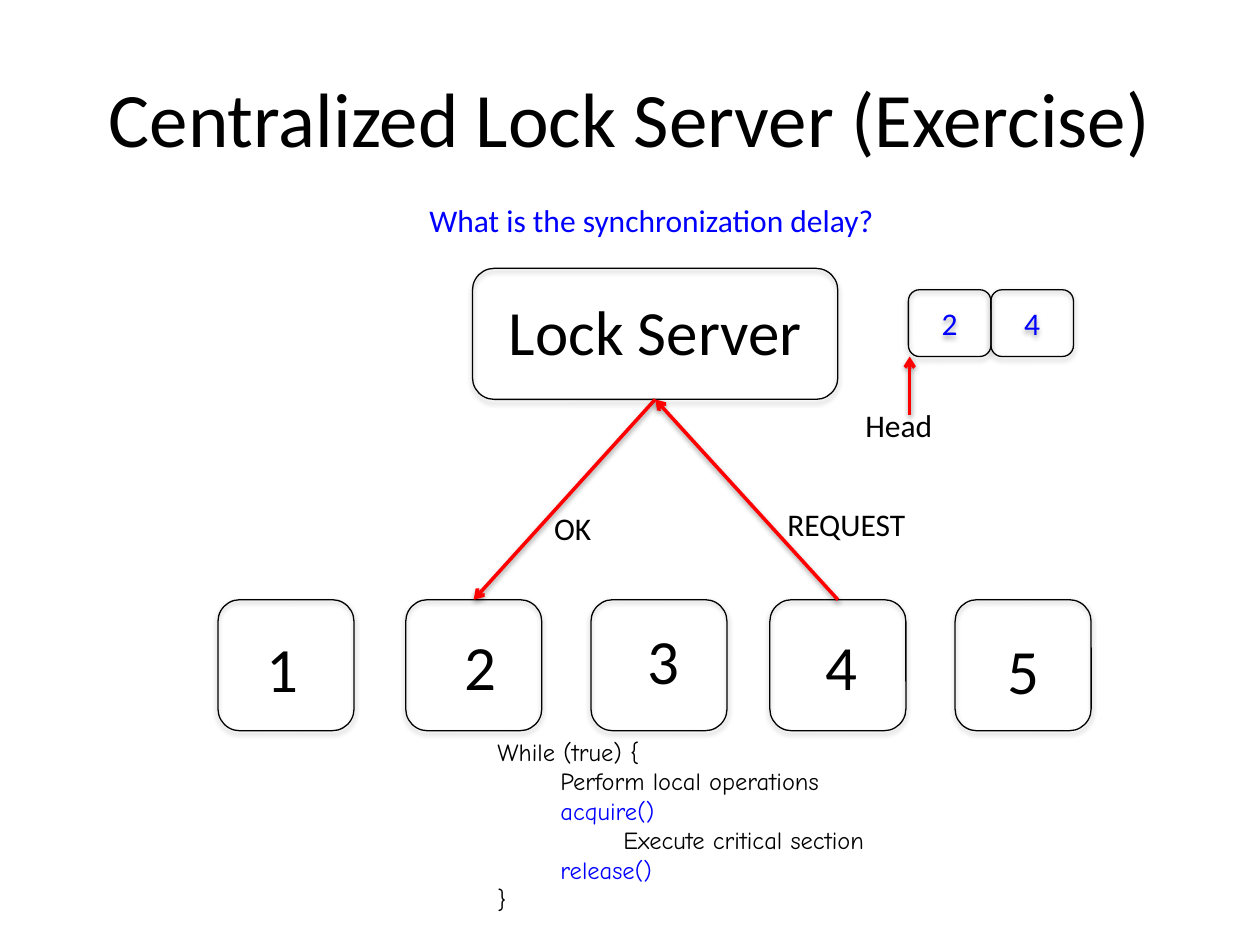
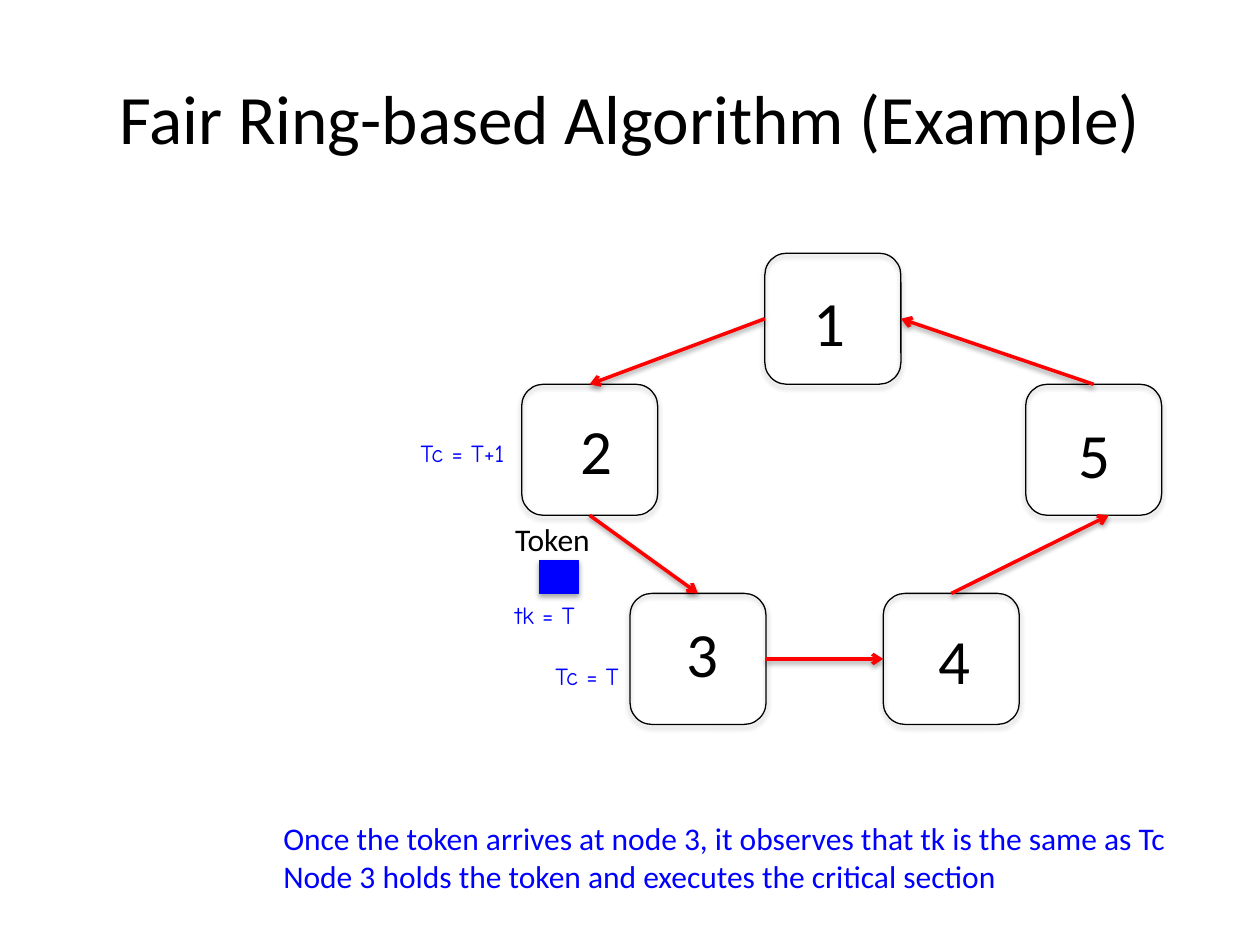
from dataclasses import dataclass

from lxml import etree
from pptx import Presentation
from pptx.dml.color import RGBColor
from pptx.enum.shapes import MSO_CONNECTOR as Connector, MSO_SHAPE as Preset
from pptx.enum.text import MSO_ANCHOR as Anchor, MSO_AUTO_SIZE as AutoSize, PP_ALIGN as Align
from pptx.oxml import parse_xml
from pptx.oxml.ns import nsdecls, qn
from pptx.util import Inches, Pt

COLORS = {"ink": "000000", "accent": "0000FF", "arrow": "FF0000", "paper": "FFFFFF"}
BODY_FONT = "Calibri"
CODE_FONT = "Comic Neue"
NODE_WIDTH, NODE_HEIGHT = 1.08, 1.04

# Where each number sits inside its node
NUMBER_OFFSETS = {1: (0.29, 0.19), 2: (0.37, 0.17), 3: (0.35, 0.12),
                  4: (0.34, 0.17), 5: (0.32, 0.2)}


@dataclass
class Box:
    left: float
    top: float
    width: float
    height: float

    def lengths(self):
        return [Inches(value) for value in (self.left, self.top, self.width, self.height)]

    def side(self, name):
        """Return the middle of one side."""
        across, down = {"left": (0, 0.5), "right": (1, 0.5),
                        "top": (0.5, 0), "bottom": (0.5, 1)}[name]
        return self.left + across * self.width, self.top + down * self.height


def color(name):
    return RGBColor.from_string(COLORS[name])


# Shared parts
def add_shadow(shape, opacity, distance):
    shape.element.spPr.append(parse_xml(
        f'<a:effectLst {nsdecls("a")}>'
        f'<a:outerShdw blurRad="{Pt(3.1)}" dist="{Pt(distance)}" dir="5400000" rotWithShape="0">'
        f'<a:srgbClr val="{COLORS["ink"]}"><a:alpha val="{opacity * 1000}"/></a:srgbClr>'
        '</a:outerShdw></a:effectLst>'))


def format_paragraph(paragraph, size, color_name="ink", font=BODY_FONT, align=Align.LEFT):
    paragraph.alignment = align
    for run in paragraph.runs:
        run.font.size = Pt(size)
        run.font.name = font
        run.font.color.rgb = color(color_name)


def add_text(slide, box, text, size=18, color_name="ink", wrap=False):
    shape = slide.shapes.add_textbox(*box.lengths())
    frame = shape.text_frame
    frame.text = text
    frame.word_wrap = wrap
    frame.auto_size = AutoSize.SHAPE_TO_FIT_TEXT
    for paragraph in frame.paragraphs:
        format_paragraph(paragraph, size, color_name)


def add_code(slide, box, lines):
    """Add lines of (indent level, text, colour)."""
    frame = slide.shapes.add_textbox(*box.lengths()).text_frame
    frame.text = "\n".join(text for _, text, _ in lines)
    frame.word_wrap = True
    frame.auto_size = AutoSize.SHAPE_TO_FIT_TEXT
    for paragraph, (level, _, color_name) in zip(frame.paragraphs, lines):
        format_paragraph(paragraph, 14, color_name, CODE_FONT, Align.JUSTIFY)
        properties = paragraph._p.get_or_add_pPr()
        properties.set("marL", str(Inches(0.5 * (level + 1))))
        properties.set("indent", "0")


def add_block(slide, box, preset=Preset.ROUNDED_RECTANGLE, fill=None, line="ink", text=""):
    shape = slide.shapes.add_shape(preset, *box.lengths())
    if fill:
        shape.fill.solid()
        shape.fill.fore_color.rgb = color(fill)
    else:
        shape.fill.background()
    shape.line.color.rgb = color(line)
    shape.line.width = Pt(0.75)
    add_shadow(shape, 35, 1.8)
    if text:
        shape.text_frame.text = text
        shape.text_frame.vertical_anchor = Anchor.MIDDLE
        format_paragraph(shape.text_frame.paragraphs[0], 18, "accent", align=Align.CENTER)


def add_arrow(slide, start, end):
    connector = slide.shapes.add_connector(
        Connector.STRAIGHT, *[Inches(value) for value in (*start, *end)])
    connector.line.color.rgb = color("arrow")
    connector.line.width = Pt(2)
    etree.SubElement(connector.line._get_or_add_ln(), qn("a:tailEnd"), type="arrow")
    add_shadow(connector, 38, 1.6)


def add_nodes(slide, positions):
    """Draw numbered nodes and return their boxes by number."""
    nodes = {}
    for number, (left, top) in positions.items():
        nodes[number] = Box(left, top, NODE_WIDTH, NODE_HEIGHT)
        add_block(slide, nodes[number])
        across, down = NUMBER_OFFSETS[number]
        add_text(slide, Box(left + across, top + down, 0.46, 0.71), str(number), 36)
    return nodes


def add_titled_slide(presentation, title, size):
    slide = presentation.slides.add_slide(presentation.slide_layouts[6])
    slide.background.fill.solid()
    slide.background.fill.fore_color.rgb = color("paper")
    frame = slide.shapes.add_textbox(*Box(0.5, 0.3, 9, 1.25).lengths()).text_frame
    frame.text = title
    frame.word_wrap = True
    frame.vertical_anchor = Anchor.MIDDLE
    format_paragraph(frame.paragraphs[0], size, align=Align.CENTER)
    return slide


# Lock server slide
def add_queue(slide, box, entries):
    """Draw waiting nodes side by side, with an arrow to the head."""
    cell_width = box.width / len(entries)
    for index, entry in enumerate(entries):
        add_block(slide, Box(box.left + index * cell_width, box.top, cell_width, box.height),
                  text=entry)
    head, bottom = box.left + 0.01, box.top + box.height
    add_arrow(slide, (head, bottom + 0.46), (head, bottom))
    add_text(slide, Box(head - 0.45, bottom + 0.34, 0.74, 0.4), "Head")


def build_lock_server(presentation):
    slide = add_titled_slide(presentation, "Centralized Lock Server (Exercise)", 44)
    add_text(slide, Box(3.31, 1.55, 3.78, 0.4), "What is the synchronization delay?",
             color_name="accent")

    # Server and its clients
    lefts = [1.73, 3.22, 4.69, 6.11, 7.58]
    nodes = add_nodes(slide, {number: (left, 4.76) for number, left in enumerate(lefts, 1)})
    server = Box(3.75, 2.13, 2.9, 1.04)
    add_block(slide, server)
    add_text(slide, Box(server.left + 0.19, server.top + 0.14, 2.84, 0.71), "Lock Server", 36,
             wrap=True)

    # Messages
    add_arrow(slide, server.side("bottom"), nodes[2].side("top"))
    add_text(slide, Box(4.3, 3.99, 0.5, 0.4), "OK")
    add_arrow(slide, nodes[4].side("top"), server.side("bottom"))
    add_text(slide, Box(6.15, 3.96, 1.16, 0.4), "REQUEST")

    add_queue(slide, Box(7.21, 2.3, 1.31, 0.53), ["2", "4"])
    add_code(slide, Box(3.35, 5.8, 5, 1.51), [
        (0, "While (true) {", "ink"),
        (1, "Perform local operations", "ink"),
        (1, "acquire()", "accent"),
        (2, "Execute critical section", "ink"),
        (1, "release()", "accent"),
        (0, "}", "ink"),
    ])


# Ring slide
def add_token(slide, box):
    add_block(slide, box, Preset.RECTANGLE, "accent", "accent")
    add_text(slide, Box(box.left - 0.29, box.top - 0.37, 0.83, 0.4), "Token")
    add_counter(slide, box.left - 0.79, box.top + box.height, "tk = T")


def add_counter(slide, left, top, text):
    add_code(slide, Box(left, top, 1.58, 0.34), [(0, text, "accent")])


def build_ring(presentation):
    slide = add_titled_slide(presentation, "Fair Ring-based Algorithm (Example)", 39.6)
    nodes = add_nodes(slide, {1: (6.07, 2.01), 2: (4.14, 3.05), 3: (5, 4.71),
                              4: (7.01, 4.71), 5: (8.14, 3.05)})

    # Links around the ring
    links = [(1, "left", 2, "top"), (2, "bottom", 3, "top"), (3, "right", 4, "left"),
             (4, "top", 5, "bottom"), (5, "top", 1, "right")]
    for source, source_side, target, target_side in links:
        end_x, end_y = nodes[target].side(target_side)
        if (source, target) == (4, 5):
            end_x += 0.12
        add_arrow(slide, nodes[source].side(source_side), (end_x, end_y))

    # Token and counters
    add_token(slide, Box(4.28, 4.45, 0.31, 0.26))
    add_counter(slide, 2.74, 3.43, "Tc = T+1")
    add_counter(slide, 3.81, 5.2, "Tc = T")

    add_text(slide, Box(2.15, 6.45, 7.31, 0.71),
             "Once the token arrives at node 3, it observes that tk is the same as Tc\n"
             "Node 3 holds the token and executes the critical section", color_name="accent")


def main():
    presentation = Presentation()
    presentation.slide_width, presentation.slide_height = Inches(10), Inches(7.5)
    build_lock_server(presentation)
    build_ring(presentation)
    presentation.save("out.pptx")


if __name__ == "__main__":
    main()
